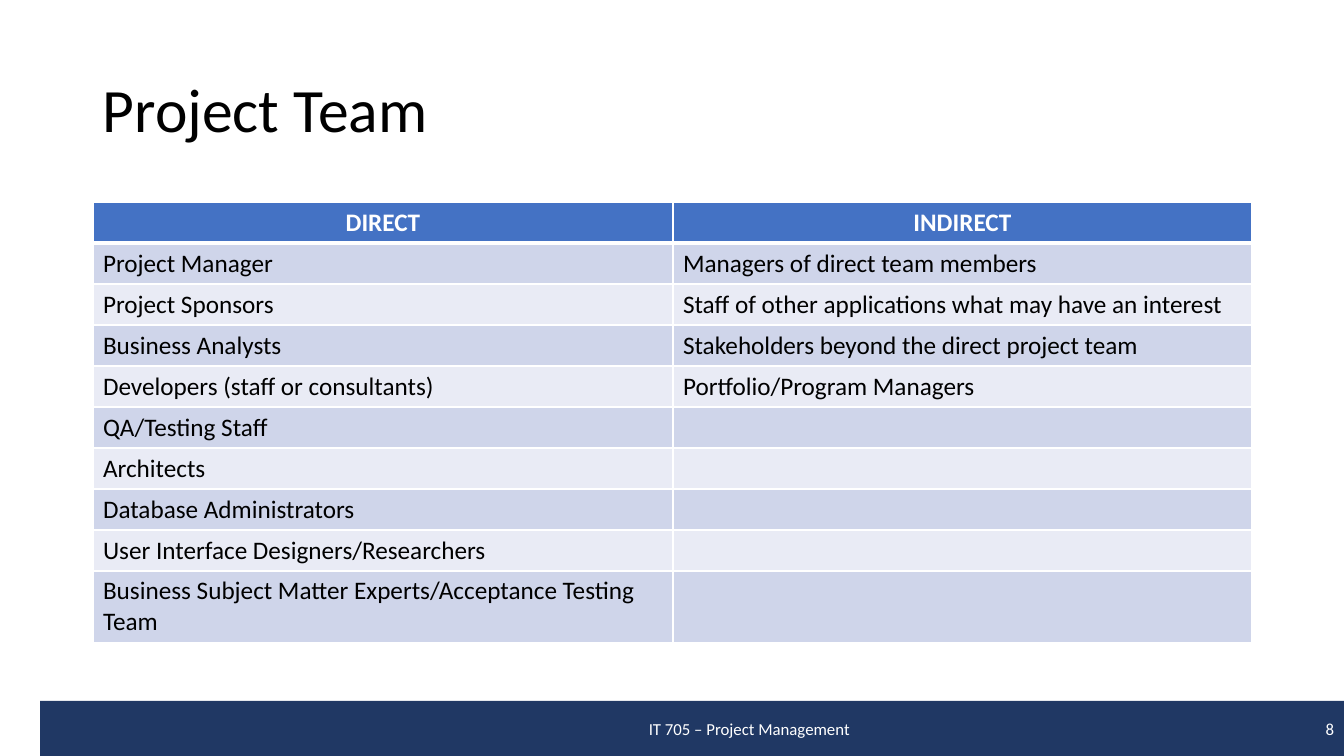
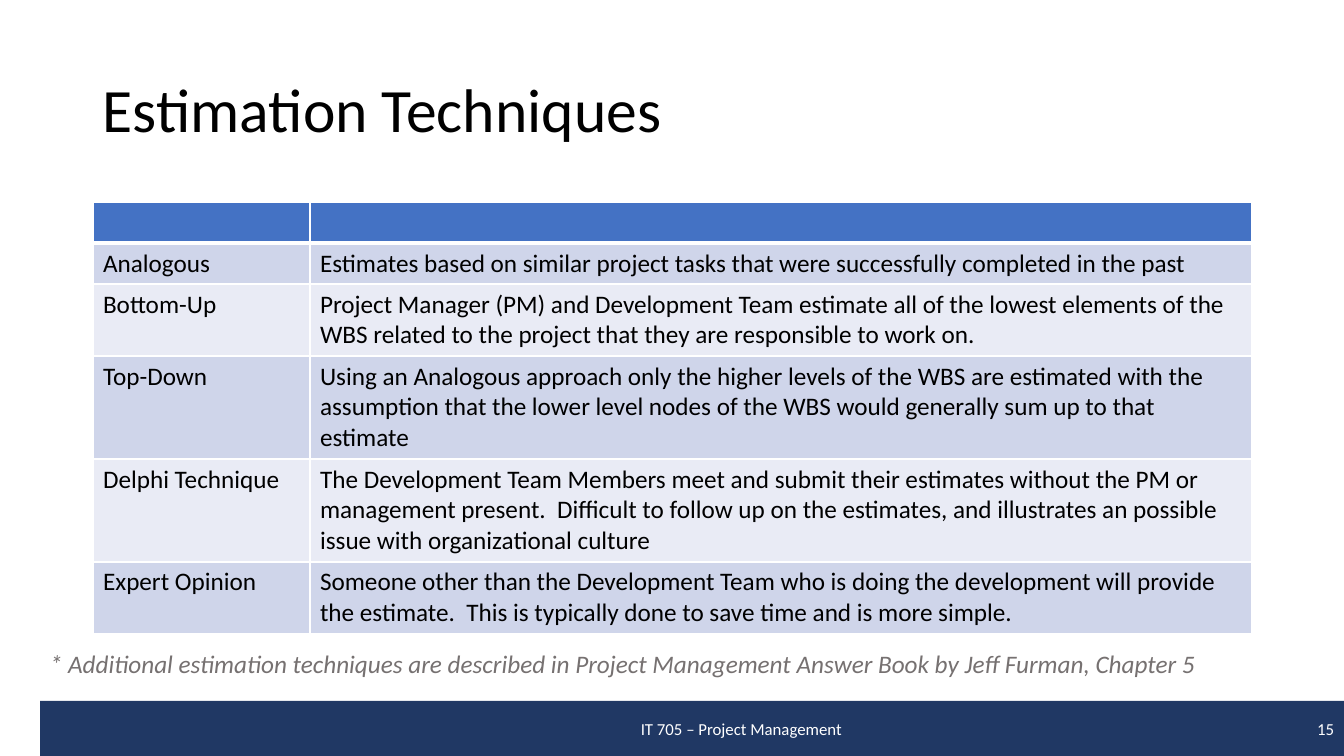
import pptx
import pptx.util
import pptx.dml.color
import pptx.enum.shapes
import pptx.enum.text
import pptx.oxml

PX = 914400 / 100.8
ALIGN = pptx.enum.text.PP_ALIGN
ANCHOR = pptx.enum.text.MSO_ANCHOR
NS = "http://schemas.openxmlformats.org/drawingml/2006/main"


def px(n):
    return pptx.util.Emu(round(n * PX))


class Deck:
    colors = {
        "black": "000000",
        "white": "FFFFFF",
        "grey": "767171",
        "navy": "203864",
        "header": "4472C4",
        "odd": "CFD5EA",
        "even": "E9EBF5",
    }
    styles = {
        "title": {"size": 44, "color": "black"},
        "head": {"size": 18, "color": "white", "bold": True},
        "body": {"size": 18, "color": "black"},
        "note": {"size": 18, "color": "grey", "italic": True},
        "footer": {"size": 12, "color": "white"},
    }
    font = "Calibri"
    course = "IT 705 – Project Management"
    left, width = 93, 1159
    table_top, row_height, line_height = 202, 41, 31

    def __init__(self):
        self.prs = pptx.Presentation()
        self.prs.slide_width = px(1344)
        self.prs.slide_height = px(756)
        self.s = None

    def rgb(self, name):
        return pptx.dml.color.RGBColor.from_string(self.colors[name])

    def add_text(self, tf, text, style, **paragraph):
        p = tf.paragraphs[0]
        for key, value in paragraph.items():
            setattr(p, key, value)
        r = p.add_run()
        r.text = text
        values = {"name": self.font, **self.styles[style]}
        values["size"] = pptx.util.Pt(values["size"])
        r.font.color.rgb = self.rgb(values.pop("color"))
        for key, value in values.items():
            setattr(r.font, key, value)

    def text_box(self, x, y, w, h, text, style, frame=None, **paragraph):
        tf = self.s.shapes.add_textbox(px(x), px(y), px(w), px(h)).text_frame
        for key, value in {"word_wrap": True, **(frame or {})}.items():
            setattr(tf, key, value)
        self.add_text(tf, text, style, **paragraph)

    def slide(self, title, page):
        self.s = self.prs.slides.add_slide(self.prs.slide_layouts[6])
        self.text_box(self.left, 40, self.width, 146, title, "title",
                      {"vertical_anchor": ANCHOR.MIDDLE}, line_spacing=0.9)
        self.footer(str(page))

    def footer(self, page):
        x, y, w, h = 40, 701, 1304, 55
        sp = self.s.shapes.add_shape(
            pptx.enum.shapes.MSO_SHAPE.RECTANGLE, px(x), px(y), px(w), px(h))
        sp.shadow.inherit = False
        sp.fill.solid()
        sp.fill.fore_color.rgb = self.rgb("navy")
        sp.line.fill.background()
        sp.text_frame.vertical_anchor = ANCHOR.MIDDLE
        self.add_text(sp.text_frame, page, "footer", alignment=ALIGN.RIGHT)
        right = 858 - 8 * len(page)
        self.text_box(right - 300, y, 300, h, self.course, "footer",
                      {"vertical_anchor": ANCHOR.MIDDLE, "margin_right": 0},
                      alignment=ALIGN.RIGHT)

    def borders(self, cell, row):
        weights = {"L": 1, "R": 1, "T": 3 if row == 1 else 1,
                   "B": 3 if row == 0 else 1}
        tcPr = cell._tc.get_or_add_tcPr()
        for side, weight in weights.items():
            tcPr.append(pptx.oxml.parse_xml(
                f'<a:ln{side} xmlns:a="{NS}" w="{pptx.util.Pt(weight)}">'
                f'<a:solidFill><a:srgbClr val="{self.colors["white"]}"/>'
                f'</a:solidFill></a:ln{side}>'))

    def table(self, widths, rows, lines):
        heights = [self.row_height + self.line_height * (n - 1) for n in lines]
        table = self.s.shapes.add_table(
            len(rows), len(widths), px(self.left), px(self.table_top),
            px(sum(widths)), px(sum(heights))).table
        table.first_row = table.horz_banding = False
        for column, width in zip(table.columns, widths):
            column.width = px(width)
        for i, (row, height) in enumerate(zip(rows, heights)):
            table.rows[i].height = px(height)
            fill = "header" if i == 0 else "odd" if i % 2 else "even"
            for j, text in enumerate(row):
                cell = table.cell(i, j)
                self.borders(cell, i)
                cell.fill.solid()
                cell.fill.fore_color.rgb = self.rgb(fill)
                if text:
                    self.add_text(
                        cell.text_frame, text, "body" if i else "head",
                        alignment=ALIGN.LEFT if i else ALIGN.CENTER)

    def note(self, text):
        self.text_box(40, 643, 1169, 40, text, "note", {"word_wrap": False})


TEAM = [
    ("DIRECT", "INDIRECT"),
    ("Project Manager", "Managers of direct team members"),
    ("Project Sponsors", "Staff of other applications what may have an interest"),
    ("Business Analysts", "Stakeholders beyond the direct project team"),
    ("Developers (staff or consultants)", "Portfolio/Program Managers"),
    ("QA/Testing Staff", ""),
    ("Architects", ""),
    ("Database Administrators", ""),
    ("User Interface Designers/Researchers", ""),
    ("Business Subject Matter Experts/Acceptance Testing Team", ""),
]

TECHNIQUES = [
    ("", ""),
    ("Analogous",
     "Estimates based on similar project tasks that were successfully "
     "completed in the past"),
    ("Bottom-Up",
     "Project Manager (PM) and Development Team estimate all of the lowest "
     "elements of the WBS related to the project that they are responsible "
     "to work on."),
    ("Top-Down",
     "Using an Analogous approach only the higher levels of the WBS are "
     "estimated with the assumption that the lower level nodes of the WBS "
     "would generally sum up to that estimate"),
    ("Delphi Technique",
     "The Development Team Members meet and submit their estimates without "
     "the PM or management present.  Difficult to follow up on the "
     "estimates, and illustrates an possible issue with organizational "
     "culture"),
    ("Expert Opinion",
     "Someone other than the Development Team who is doing the development "
     "will provide the estimate.  This is typically done to save time and "
     "is more simple."),
]


def main():
    deck = Deck()

    deck.slide("Project Team", 8)
    deck.table([580, 579], TEAM, [1] * 9 + [2])

    deck.slide("Estimation Techniques", 15)
    deck.table([217, 942], TECHNIQUES, [1, 1, 2, 3, 3, 2])
    deck.note("* Additional estimation techniques are described in Project "
              "Management Answer Book by Jeff Furman, Chapter 5")

    deck.prs.save("out.pptx")


if __name__ == "__main__":
    main()
